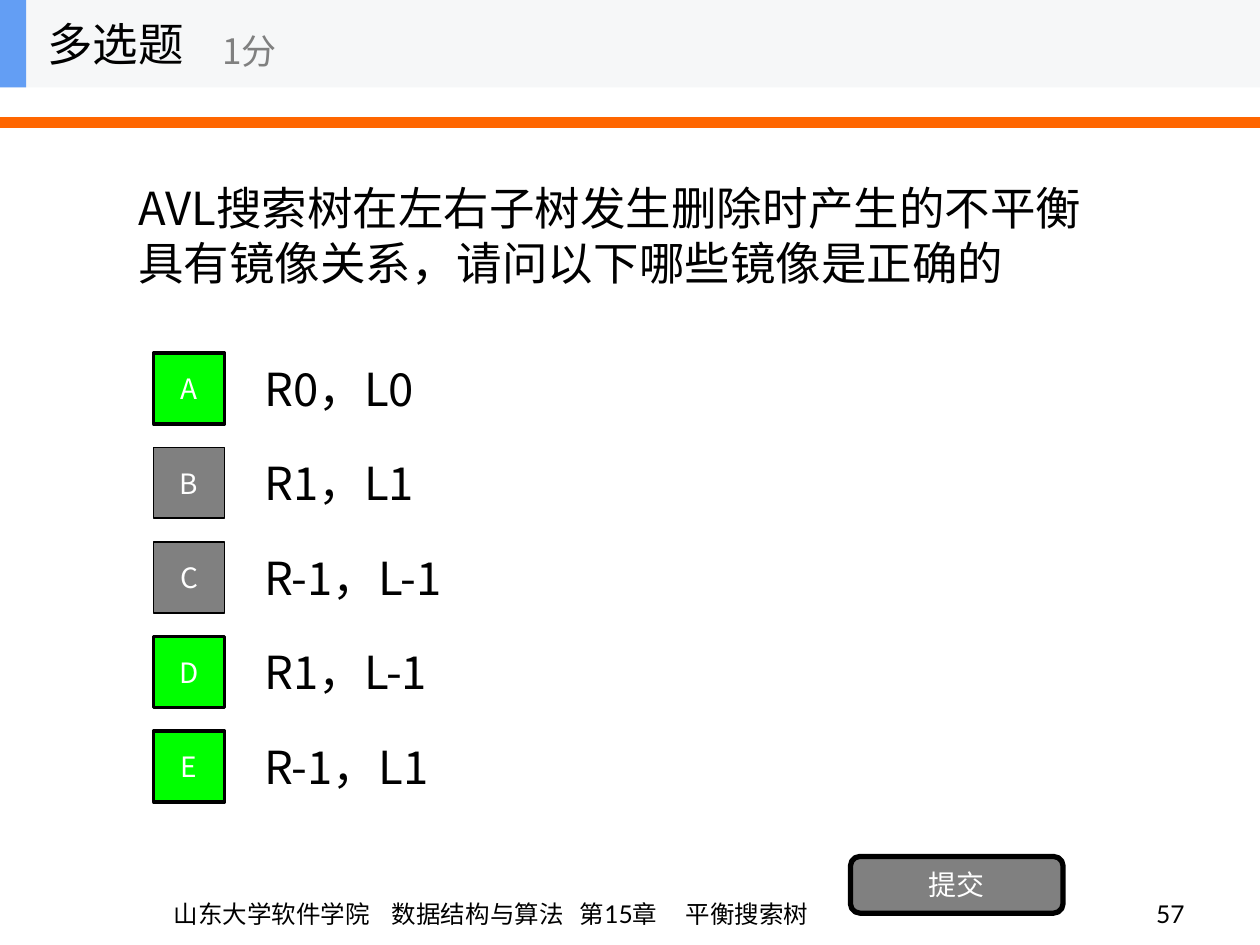
from lxml.etree import SubElement
from pptx import Presentation
from pptx.dml.color import RGBColor
from pptx.enum.shapes import MSO_CONNECTOR as Connector, MSO_SHAPE as Shape
from pptx.enum.text import MSO_ANCHOR as Anchor, PP_ALIGN as Align
from pptx.oxml.ns import qn
from pptx.util import Pt

BLACK = RGBColor(0x00, 0x00, 0x00)
WHITE = RGBColor(0xFF, 0xFF, 0xFF)
GRAY = RGBColor(0x80, 0x80, 0x80)
GREEN = RGBColor(0x00, 0xFF, 0x00)
ORANGE = RGBColor(0xFF, 0x66, 0x00)
BLUE = RGBColor(0x63, 0x9E, 0xF4)
PALE = RGBColor(0xF6, 0xF7, 0xF8)

QUESTION_FONT = "Noto Sans CJK SC"
FOOTER_FONT = "Lato"

OPTIONS = [
    ("A", "R0，L0", True),
    ("B", "R1，L1", False),
    ("C", "R-1，L-1", False),
    ("D", "R1，L-1", True),
    ("E", "R-1，L1", True),
]
FOOTER_PARTS = ["山东大学软件学院", "数据结构与算法", "第15章", "平衡搜索树"]
FOOTER_STOPS = [124.6, 232, 292.6]


def apply(target, values):
    for name, value in values.items():
        setattr(target, name, value)


class QuizSlide:
    def __init__(self, slide):
        self.slide = slide
        self.shapes = slide.shapes

    def fill_text(self, shape, content, size, color, font=QUESTION_FONT,
                  align=Align.LEFT, stops=(), **frame_format):
        frame = shape.text_frame
        apply(frame, {"word_wrap": True, "vertical_anchor": Anchor.MIDDLE,
                      **frame_format})
        paragraph = frame.paragraphs[0]
        paragraph.alignment = align
        if stops:
            tabs = SubElement(paragraph._p.get_or_add_pPr(), qn("a:tabLst"))
            for stop in stops:
                SubElement(tabs, qn("a:tab"), pos=str(Pt(stop)), algn="l")
        run = paragraph.add_run()
        run.text = content
        apply(run.font, {"size": Pt(size), "name": font})
        run.font.color.rgb = color
        SubElement(run._r.get_or_add_rPr(), qn("a:ea"), typeface=QUESTION_FONT)

    def text(self, box, content, size, color=BLACK, **style):
        self.fill_text(self.shapes.add_textbox(*map(Pt, box)), content, size,
                       color, **style)

    def block(self, box, fill, kind=Shape.RECTANGLE, border=0, label=""):
        block = self.shapes.add_shape(kind, *map(Pt, box))
        block.shadow.inherit = False
        block.fill.solid()
        block.fill.fore_color.rgb = fill
        if border:
            block.line.color.rgb = BLACK
            block.line.width = Pt(border)
        else:
            block.line.fill.background()
        if label:
            self.fill_text(block, label, 16, WHITE, align=Align.CENTER,
                           word_wrap=False)

    def rule(self, y, width, color):
        rule = self.shapes.add_connector(
            Connector.STRAIGHT, Pt(0), Pt(y), Pt(720), Pt(y))
        rule.line.color.rgb = color
        rule.line.width = Pt(width)
        SubElement(rule._element.spPr, qn("a:effectLst"))

    def header(self, title, score):
        self.shapes = self.slide.shapes.add_group_shape().shapes
        self.block((0, 0, 720, 50), PALE)
        self.block((0, 0, 15, 50), BLUE)
        self.text((20, 0, 150, 50), title, 26, word_wrap=False)
        self.text((120, 9, 180, 40), score, 20, GRAY, word_wrap=False)
        self.shapes = self.slide.shapes

    def option(self, index, letter, answer, correct):
        top = 196.7 + 54 * index
        self.text((144, top, 504, 50), answer, 26)
        self.block((87.8, top + 5, 40.5, 40.5), GREEN if correct else GRAY,
                   border=2 if correct else 1, label=letter)

    def footer(self, parts, stops, number):
        shared = {"font": FOOTER_FONT, "vertical_anchor": Anchor.BOTTOM}
        self.text((36.7, 498, 493.2, 36), "\t".join(parts), 14, stops=stops,
                  margin_left=Pt(62.6), **shared)
        self.text((534, 498, 150, 36), number, 14, align=Align.RIGHT, **shared)


def main():
    deck = Presentation()
    apply(deck, {"slide_width": Pt(720), "slide_height": Pt(540)})
    quiz = QuizSlide(deck.slides.add_slide(deck.slide_layouts[6]))
    quiz.rule(70, 6, ORANGE)
    quiz.footer(FOOTER_PARTS, FOOTER_STOPS, "57")
    quiz.text((72, 50, 576, 168.5),
              "AVL搜索树在左右子树发生删除时产生的不平衡具有镜像关系，"
              "请问以下哪些镜像是正确的", 26)
    for index, option in enumerate(OPTIONS):
        quiz.option(index, *option)
    quiz.block((486, 489.4, 121.5, 32.4), GRAY, Shape.ROUNDED_RECTANGLE,
               border=3, label="提交")
    quiz.header("多选题", "1分")
    deck.save("out.pptx")


if __name__ == "__main__":
    main()
